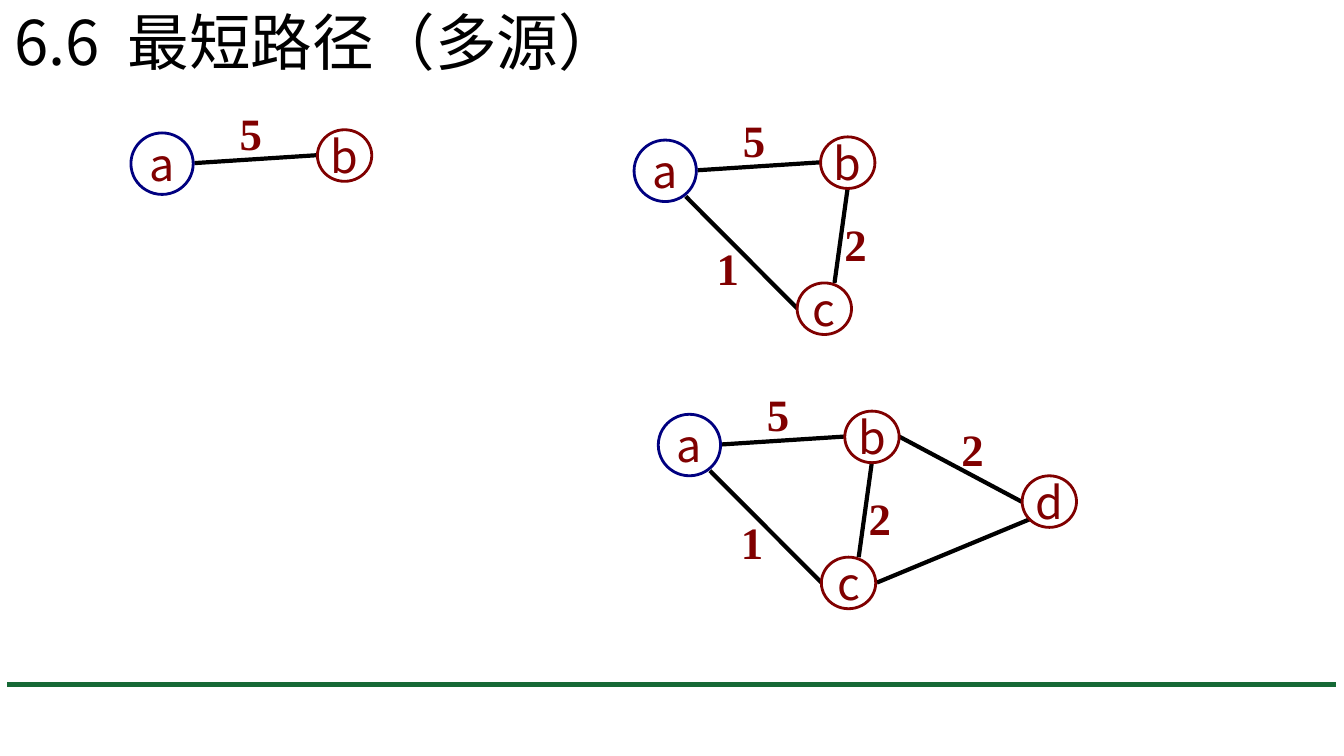
from lxml import etree
from pptx import Presentation
from pptx.dml.color import RGBColor
from pptx.enum import shapes, text
from pptx.oxml import ns
from pptx.util import Cm, Pt

SANS, SERIF = "Noto Sans CJK SC", "Times New Roman"
MAROON, NAVY, BLACK, GREEN = "800000", "000080", "000000", "166936"

NODES = {
    "a": (0, 0, 1.57, 1.55, NAVY),
    "b": (4.7, -0.08, 1.37, 1.3, MAROON),
    "c": (4.11, 3.6, 1.37, 1.3, MAROON),
    "d": (9.17, 1.55, 1.37, 1.3, MAROON),
}
EDGES = {
    "ab": (1.6, 0.76, 4.7, 0.56),
    "ac": (1.3, 1.42, 4.11, 4.24),
    "cb": (5.05, 3.6, 5.38, 1.22),
    "bd": (6.07, 0.56, 9.17, 2.21),
    "cd": (5.51, 4.24, 9.37, 2.64),
}
WEIGHTS = {
    "ab": ("5", 2.49, -0.81),
    "ac": ("1", 1.83, 2.41),
    "cb": ("2", 5.05, 1.8),
    "bd": ("2", 7.39, 0.05),
}
GRAPHS = [(3.3, 3.35, "ab"), (15.98, 3.53, "abc"), (16.59, 10.44, "abcd")]


def add_span(para, words, size, font, color, bold=False):
    span = para.add_run()
    span.text = words
    span.font.size = Pt(size)
    span.font.bold = bold
    span.font.name = font
    span.font.color.rgb = RGBColor.from_string(color)
    properties = span.font._element
    etree.SubElement(properties, ns.qn("a:ea")).set("typeface", font)
    return properties


def add_line(x1, y1, x2, y2, color, width):
    line = page.shapes.add_connector(
        shapes.MSO_CONNECTOR.STRAIGHT, Cm(x1), Cm(y1), Cm(x2), Cm(y2))
    line.line.color.rgb = RGBColor.from_string(color)
    line.line.width = Pt(width)
    etree.SubElement(line._element.spPr, ns.qn("a:effectLst"))


deck = Presentation()
deck.slide_width, deck.slide_height = Cm(33.87), Cm(19.05)
page = deck.slides.add_slide(deck.slide_layouts[5])

title = page.shapes.title
title.left, title.top, title.width, title.height = Cm(0.1), Cm(-0.03), Cm(16.94), Cm(2.13)
title.text_frame.auto_size = text.MSO_AUTO_SIZE.NONE
title.text_frame.vertical_anchor = text.MSO_ANCHOR.MIDDLE
para = title.text_frame.paragraphs[0]
para.alignment = text.PP_ALIGN.LEFT
add_span(para, "6.6", 44, SANS, BLACK)
add_span(para, " ", 44, SANS, BLACK).set("spc", "1000")
add_span(para, "最短路径（多源）", 44, SANS, BLACK)

add_line(0.18, 17.25, 33.68, 17.25, GREEN, 3.75)

for left, top, names in GRAPHS:
    for ends, (x1, y1, x2, y2) in EDGES.items():
        if set(ends) <= set(names):
            add_line(left + x1, top + y1, left + x2, top + y2, BLACK, 3)

    for name in names:
        x, y, width, height, color = NODES[name]
        node = page.shapes.add_shape(
            shapes.MSO_SHAPE.OVAL, Cm(left + x), Cm(top + y), Cm(width), Cm(height))
        node.shadow.inherit = False
        node.fill.background()
        node.line.color.rgb = RGBColor.from_string(color)
        node.line.width = Pt(2)
        node.text_frame.word_wrap = False
        node.text_frame.vertical_anchor = text.MSO_ANCHOR.MIDDLE
        para = node.text_frame.paragraphs[0]
        para.alignment = text.PP_ALIGN.CENTER
        add_span(para, name, 32, SANS, MAROON)

    for ends, (weight, x, y) in WEIGHTS.items():
        if set(ends) <= set(names):
            box = page.shapes.add_textbox(Cm(left + x), Cm(top + y), Cm(1.09), Cm(1.63))
            box.text_frame.word_wrap = False
            add_span(box.text_frame.paragraphs[0], weight, 32, SERIF, MAROON, True)

deck.save("out.pptx")
